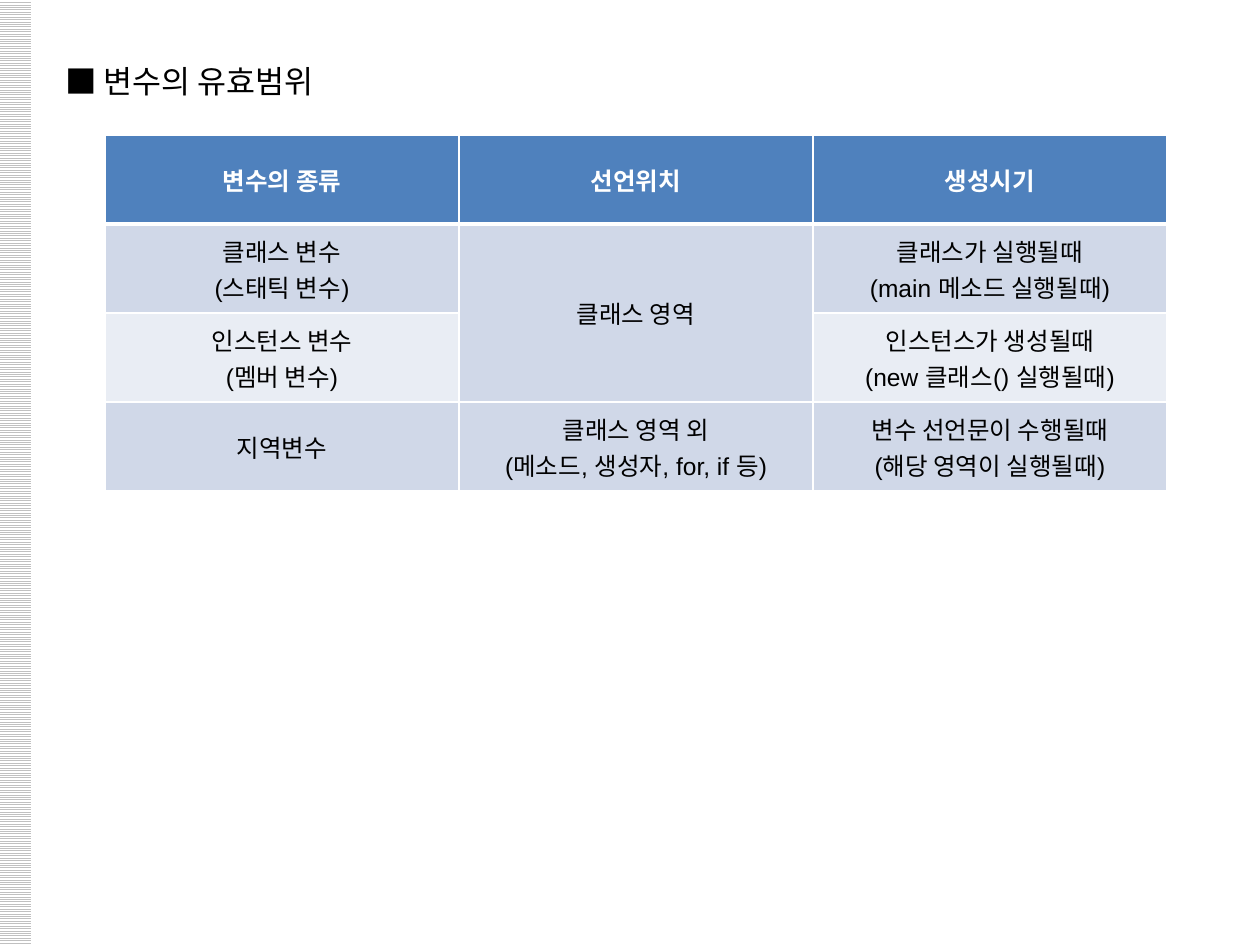
from lxml.etree import SubElement
from pptx import Presentation
from pptx.dml.color import RGBColor
from pptx.enum.dml import MSO_PATTERN
from pptx.enum.shapes import MSO_SHAPE
from pptx.enum.text import MSO_ANCHOR, MSO_AUTO_SIZE, PP_ALIGN
from pptx.oxml.ns import qn
from pptx.util import Emu, Pt

PX_PER_INCH = 126
COLORS = {
    "black": "000000",
    "white": "FFFFFF",
    "stripe": "C0C0C0",
    "header": "4F81BD",
    "band_dark": "D0D8E8",
    "band_light": "E9EDF4",
}
KOREAN_FONT = "Noto Sans CJK KR"
TABLE_ROWS = [
    ["변수의 종류", "선언위치", "생성시기"],
    ["클래스 변수\n(스태틱 변수)", "클래스 영역",
     "클래스가 실행될때\n(main 메소드 실행될때)"],
    ["인스턴스 변수\n(멤버 변수)", "",
     "인스턴스가 생성될때\n(new 클래스() 실행될때)"],
    ["지역변수", "클래스 영역 외\n(메소드, 생성자, for, if 등)",
     "변수 선언문이 수행될때\n(해당 영역이 실행될때)"],
]
ROW_FILLS = ["header", "band_dark", "band_light", "band_dark"]


def px(length):
    return Emu(round(length * 914400 / PX_PER_INCH))


def rgb(name):
    return RGBColor.from_string(COLORS[name])


def write_text(frame, text, size, font="Arial", color="black", bold=False,
               align=PP_ALIGN.LEFT, spacing=None):
    """Fill a text frame with one paragraph for each line of text."""
    for index, line in enumerate(text.split("\n")):
        para = frame.paragraphs[0] if index == 0 else frame.add_paragraph()
        para.alignment = align
        para.line_spacing = spacing
        span = para.add_run()
        span.text = line
        span.font.name = font
        span.font.size = Pt(size)
        span.font.bold = bold
        span.font.color.rgb = rgb(color)
        SubElement(span.font._element, qn("a:ea"), typeface=KOREAN_FONT)


def add_side_stripe(page, left, top, width, height):
    stripe = page.shapes.add_shape(
        MSO_SHAPE.RECTANGLE, px(left), px(top), px(width), px(height))
    stripe.shadow.inherit = False
    stripe.line.fill.background()
    stripe.fill.patterned()
    stripe.fill.pattern = MSO_PATTERN.LIGHT_HORIZONTAL
    stripe.fill.fore_color.rgb = rgb("stripe")
    stripe.fill.back_color.rgb = rgb("white")


def add_heading(page, left, top, width, height):
    box = page.shapes.add_textbox(px(left), px(top), px(width), px(height))
    box.text_frame.word_wrap = False
    box.text_frame.auto_size = MSO_AUTO_SIZE.SHAPE_TO_FIT_TEXT
    write_text(box.text_frame, "■ 변수의 유효범위", 18, font=KOREAN_FONT, spacing=1.5)


def set_borders(cell, top, bottom):
    """Draw white cell borders, with top and bottom widths in points."""
    properties = cell._tc.get_or_add_tcPr()
    for side, width in (("L", 1), ("R", 1), ("T", top), ("B", bottom)):
        line = SubElement(properties, qn(f"a:ln{side}"), w=str(Pt(width)))
        fill = SubElement(line, qn("a:solidFill"))
        SubElement(fill, qn("a:srgbClr"), val=COLORS["white"])


def add_scope_table(page, left, top, width, height):
    row_count, column_count = len(TABLE_ROWS), len(TABLE_ROWS[0])
    table = page.shapes.add_table(
        row_count, column_count, px(left), px(top), px(width), px(height)).table
    for column in table.columns:
        column.width = px(width // column_count)
    for row_index, texts in enumerate(TABLE_ROWS):
        is_header = row_index == 0
        table.rows[row_index].height = px(height // row_count)
        for column_index, text in enumerate(texts):
            cell = table.cell(row_index, column_index)
            set_borders(cell, top=3 if row_index == 1 else 1,
                        bottom=3 if is_header else 1)
            cell.fill.solid()
            cell.fill.fore_color.rgb = rgb(ROW_FILLS[row_index])
            cell.vertical_anchor = MSO_ANCHOR.MIDDLE
            if text:
                write_text(cell.text_frame, text, 14, bold=is_header,
                           color="white" if is_header else "black",
                           align=PP_ALIGN.CENTER)
    table.cell(1, 1).merge(table.cell(2, 1))


def main():
    deck = Presentation()
    deck.slide_width, deck.slide_height = px(1260), px(945)
    page = deck.slides.add_slide(deck.slide_layouts[6])
    add_side_stripe(page, -1, 0, 32, 945)
    add_heading(page, 53, 37, 302, 71)
    add_scope_table(page, 105, 135, 1062, 356)
    deck.save("out.pptx")


if __name__ == "__main__":
    main()
